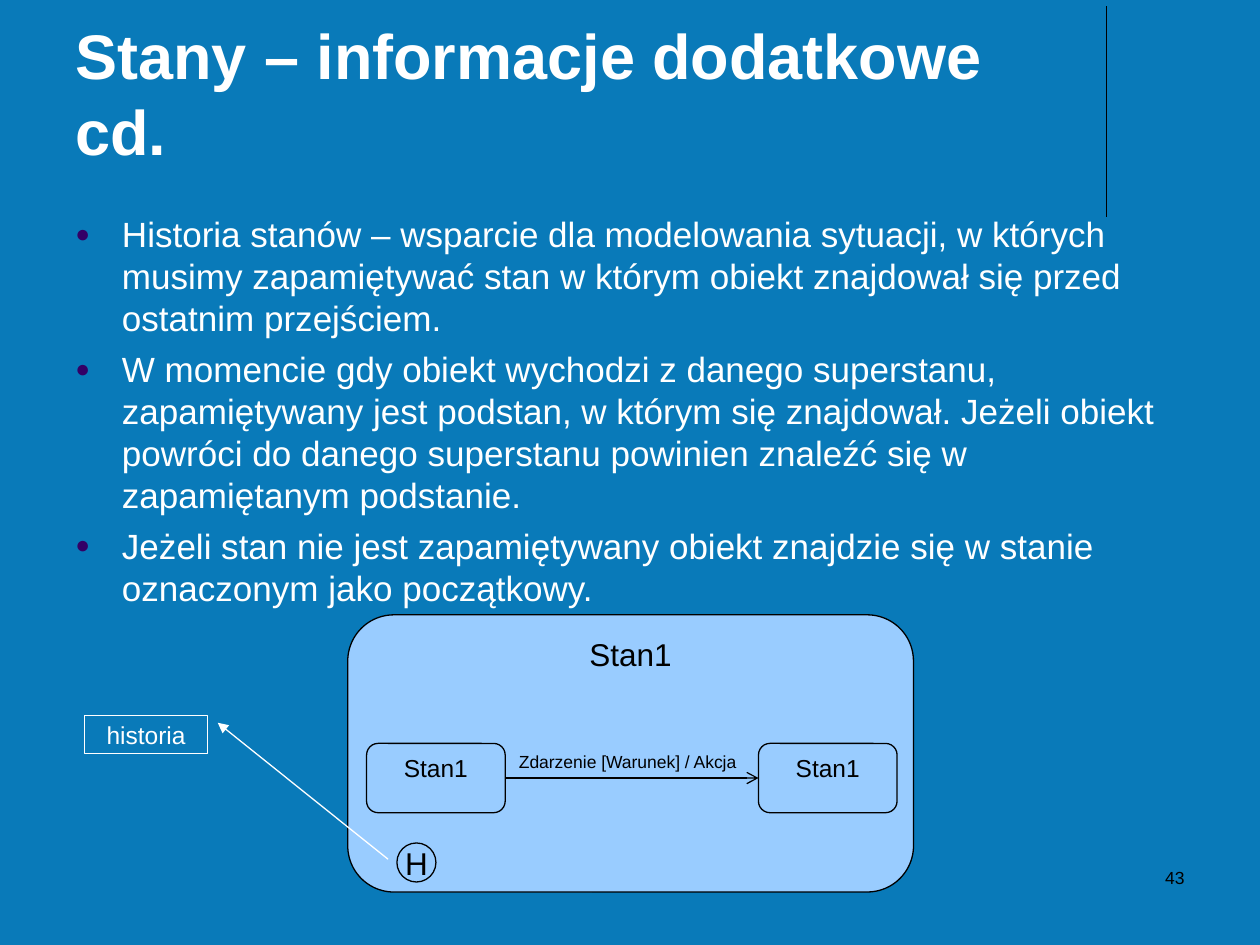
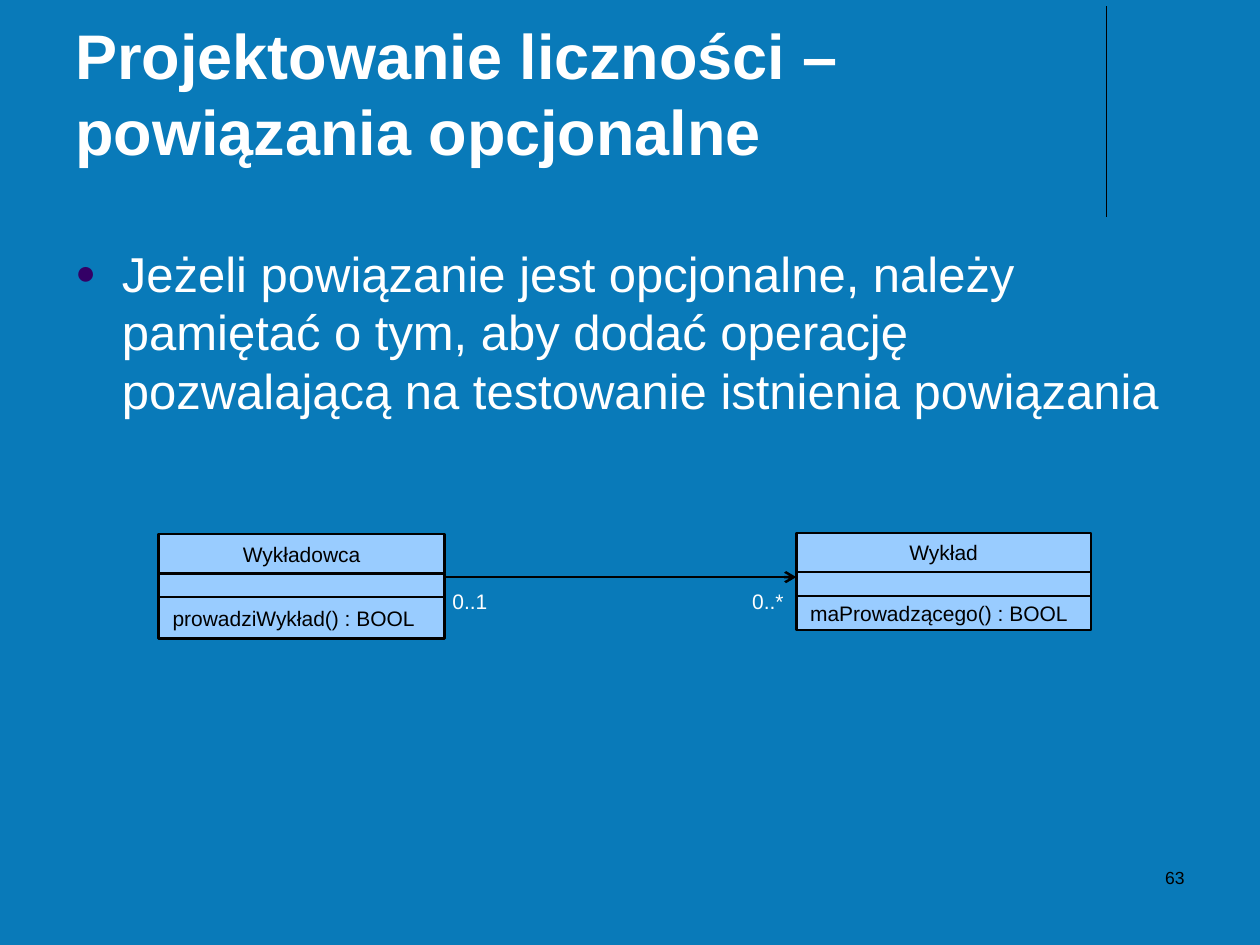
import pptx
import pptx.dml.color
import pptx.enum.shapes
import pptx.enum.text
import pptx.oxml.ns
import pptx.util
import lxml.etree

WIDE, HIGH = 10, 7.5
BLUE, PALE, INK, WHITE, DOT = "097AB9", "99CCFF", "000000", "FFFFFF", "330066"
FONT = "Arial"
LEFT = 0.05 * WIDE
SPAN = WIDE - 2 * LEFT

STATES = {
    "title": "Stany – informacje dodatkowe cd.",
    "points": [
        "Historia stanów – wsparcie dla modelowania sytuacji, w których musimy "
        "zapamiętywać stan w którym obiekt znajdował się przed ostatnim przejściem.",
        "W momencie gdy obiekt wychodzi z danego superstanu, zapamiętywany jest "
        "podstan, w którym się znajdował. Jeżeli obiekt powróci do danego "
        "superstanu powinien znaleźć się w zapamiętanym podstanie.",
        "Jeżeli stan nie jest zapamiętywany obiekt znajdzie się w stanie "
        "oznaczonym jako początkowy.",
    ],
    "body": (1.64, 3.08, 20, 5),  # top, height, text size, space before
    "page": "43",
}
LINKS = {
    "title": "Projektowanie liczności – powiązania opcjonalne",
    "points": [
        "Jeżeli powiązanie jest opcjonalne, należy pamiętać o tym, aby dodać "
        "operację pozwalającą na testowanie istnienia powiązania",
    ],
    "body": (1.88, 2.26, 28, 7),
    "page": "63",
}
INNER = [("Stan1", 2.91), ("Stan1", 6.02)]  # name, left
# name, operation, left, top, width, height of the operation row
CLASSES = [
    ("Wykładowca", "prowadziWykład() : BOOL", 1.26, 4.24, 2.27, 0.33),
    ("Wykład", "maProwadzącego() : BOOL", 6.32, 4.23, 2.34, 0.27),
]
COUNTS = [("0..1", 3.59, 0.28), ("0..*", 5.97, 0.25)]  # text, left, width

KIND = pptx.enum.shapes.MSO_SHAPE
ALIGN = pptx.enum.text.PP_ALIGN
ANCHOR = pptx.enum.text.MSO_ANCHOR
inch, pt = pptx.util.Inches, pptx.util.Pt


def rgb(code):
    return pptx.dml.color.RGBColor.from_string(code)


def add_xml(node, tag, **attrs):
    return lxml.etree.SubElement(node, pptx.oxml.ns.qn(tag), attrs)


def write(shape, text, size=12, color=INK, bold=False, align=ALIGN.LEFT,
          anchor=ANCHOR.TOP, pad=(0.1, 0.05), wrap=True, grow=False,
          before=0, dots=False):
    """Fill a shape with one paragraph per item of text."""
    frame = shape.text_frame
    frame.word_wrap = wrap
    if grow:
        frame.auto_size = pptx.enum.text.MSO_AUTO_SIZE.SHAPE_TO_FIT_TEXT
    frame.vertical_anchor = anchor
    frame.margin_left = frame.margin_right = inch(pad[0])
    frame.margin_top = frame.margin_bottom = inch(pad[1])
    for i, line in enumerate([text] if isinstance(text, str) else text):
        para = frame.add_paragraph() if i else frame.paragraphs[0]
        para.alignment = align
        para.space_before = pt(before)
        if dots:
            bullet(para)
        run = para.add_run()
        run.text = line
        font = run.font
        font.name, font.size, font.bold = FONT, pt(size), bold
        font.color.rgb = rgb(color)


def bullet(para):
    props = para._p.get_or_add_pPr()
    props.set("marL", str(inch(0.37)))
    props.set("indent", str(-inch(0.37)))
    add_xml(add_xml(props, "a:buClr"), "a:srgbClr", val=DOT)
    add_xml(props, "a:buSzPct", val="70000")
    add_xml(props, "a:buFont", typeface=FONT)
    add_xml(props, "a:buChar", char="●")


def label(slide, box, text, **style):
    write(slide.shapes.add_textbox(*map(inch, box)), text, **style)


def block(shapes, kind, box, fill=PALE, line=INK, width=0):
    shape = shapes.add_shape(kind, *map(inch, box))
    shape.shadow.inherit = False
    if fill:
        shape.fill.solid()
        shape.fill.fore_color.rgb = rgb(fill)
    else:
        shape.fill.background()
    shape.line.color.rgb = rgb(line)
    shape.line.width = pt(width)
    return shape


def stroke(slide, start, end, width=0.75, arrow=False):
    line = slide.shapes.add_connector(
        pptx.enum.shapes.MSO_CONNECTOR.STRAIGHT, *map(inch, start + end))
    line.line.color.rgb = rgb(INK)
    line.line.width = pt(width)
    if arrow:
        add_xml(line.line._get_or_add_ln(), "a:tailEnd", type="arrow")
    add_xml(line._element.spPr, "a:effectLst")
    return line


def page(deck, data):
    """Add a slide with the rule, title, bullets and number all slides share."""
    slide = deck.slides.add_slide(deck.slide_layouts[6])
    stroke(slide, (8.78, 0.05), (8.78, 1.72))
    label(slide, (LEFT, 0.13, 8.25, 1.25), data["title"], size=36, color=WHITE,
          bold=True, anchor=ANCHOR.BOTTOM)
    top, high, size, before = data["body"]
    label(slide, (LEFT, top, SPAN, high), data["points"], size=size,
          color=WHITE, before=before, dots=True)
    label(slide, (7.17, 6.83, 2.33, 0.5), data["page"], size=10,
          align=ALIGN.RIGHT)
    return slide


def draw_states(slide):
    shapes = slide.shapes
    mid = {"align": ALIGN.CENTER}
    outer = block(shapes, KIND.ROUNDED_RECTANGLE, (2.76, 4.88, 4.49, 2.2))
    write(outer, "Stan1", size=18, **mid)
    pair = []
    for name, left in INNER:
        state = block(shapes, KIND.ROUNDED_RECTANGLE, (left, 5.9, 1.1, 0.55))
        write(state, name, size=14, **mid)
        pair.append(state)
    move = stroke(slide, (4.01, 6.18), (6.02, 6.18), arrow=True)
    move.begin_connect(pair[0], 3)
    move.end_connect(pair[1], 1)
    label(slide, (4.02, 5.91, 1.94, 0.27), "Zdarzenie [Warunek] / Akcja",
          size=10, wrap=False, grow=True)

    note = block(shapes, KIND.LINE_CALLOUT_1, (0.67, 5.68, 0.98, 0.3),
                 fill=None, line=WHITE)
    for i, share in enumerate((0.19, -0.08, 3.8, -1.46)):
        note.adjustments[i] = share
    note._element.spPr.xfrm.set("flipH", "1")
    add_xml(note.line._get_or_add_ln(), "a:headEnd", type="triangle")
    write(note, "historia", size=14, color=WHITE, anchor=ANCHOR.MIDDLE,
          wrap=False, **mid)

    past = block(shapes, KIND.OVAL, (3.15, 6.69, 0.31, 0.31))
    write(past, "H", size=18, anchor=ANCHOR.MIDDLE, pad=(0, 0), **mid)


def draw_class(slide, name, method, left, top, wide, last):
    """Stack the name, attribute and operation rows of a class."""
    group = slide.shapes.add_group_shape()
    rows = [(name, 0.31, ALIGN.CENTER), ("", 0.19, ALIGN.LEFT),
            (method, last, ALIGN.LEFT)]
    for text, high, align in rows:
        row = block(group.shapes, KIND.RECTANGLE, (left, top, wide, high),
                    width=1.42)
        if text:
            write(row, text, align=align, anchor=ANCHOR.MIDDLE,
                  pad=(0.11, 0.06))
        top += high


def draw_links(slide):
    for text, left, wide in COUNTS:
        label(slide, (left, 4.67, wide, 0.2), text, color=WHITE, pad=(0, 0),
              wrap=False, grow=True)
    for item in CLASSES:
        draw_class(slide, *item)
    stroke(slide, (3.53, 4.58), (6.32, 4.58), width=1.42, arrow=True)


def main():
    deck = pptx.Presentation()
    deck.slide_width, deck.slide_height = inch(WIDE), inch(HIGH)
    back = deck.slide_master.background.fill
    back.solid()
    back.fore_color.rgb = rgb(BLUE)
    draw_states(page(deck, STATES))
    draw_links(page(deck, LINKS))
    deck.save("out.pptx")


if __name__ == "__main__":
    main()
